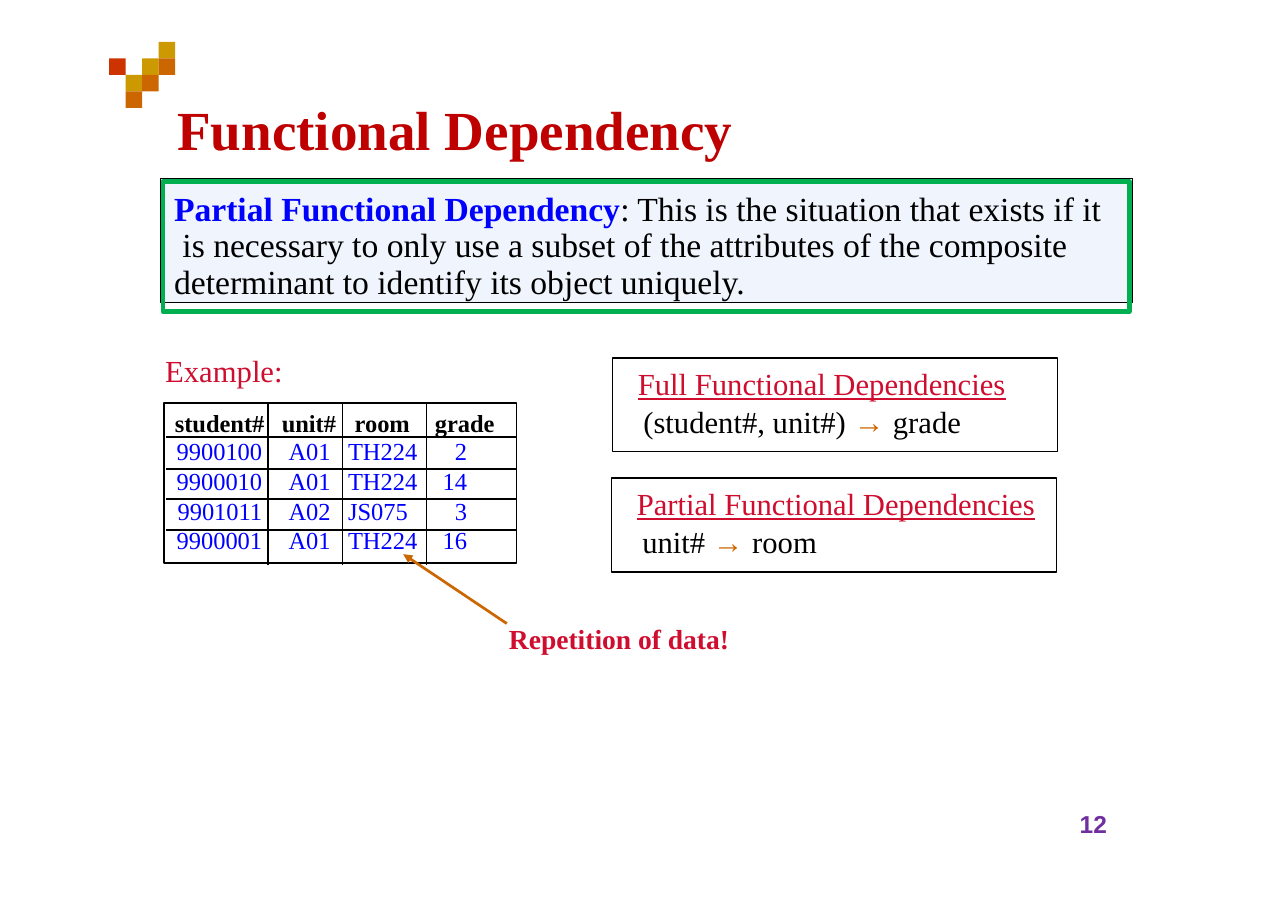
from lxml.etree import SubElement
from pptx import Presentation
from pptx.dml.color import RGBColor
from pptx.enum.shapes import MSO_CONNECTOR, MSO_SHAPE
from pptx.enum.text import MSO_ANCHOR, MSO_AUTO_SIZE, PP_ALIGN
from pptx.oxml.ns import qn
from pptx.util import Inches, Pt

SERIF = "Times New Roman"
BLACK, BLUE, CRIMSON = "000000", "0000FF", "CE0D2F"
DARK_RED, GREEN, PALE_BLUE, PURPLE = "BF0000", "00AF4F", "EFF4FD", "6F2F9F"
GOLD, ORANGE, RED = "CC9900", "CC6600", "CC3300"

TITLE = "Functional Dependency"
TERM = "Partial Functional Dependency"
MEANING = (": This is the situation that exists if it\v"
           " is necessary to only use a subset of the attributes of the composite\v"
           "determinant to identify its object uniquely.")

# Column, row and colour of each decorative square
SQUARES = [(0, 1, RED), (1, 2, GOLD), (1, 3, ORANGE), (2, 1, GOLD),
           (2, 2, ORANGE), (3, 0, GOLD), (3, 1, ORANGE)]
SQUARE = 0.15

ROWS = [
    ("student#", "unit#", "room", "grade"),
    ("9900100", "A01", "TH224", "2"),
    ("9900010", "A01", "TH224", "14"),
    ("9901011", "A02", "JS075", "3"),
    ("9900001", "A01", "TH224", "16"),
]
COLUMN_WIDTHS = [0.92, 0.68, 0.76, 0.82]
ROW_HEIGHTS = [0.31, 0.29, 0.27, 0.28, 0.32]
ROW_SPACING = [18.7, 18.7, 17.2, 17.4, 16.1]
COLUMN_RULES = [0, 1.5, 1, 1, 0]
ROW_RULES = [0, 1.5, 1.5, 1, 1.5, 0]
ALIGNMENTS = [PP_ALIGN.RIGHT, PP_ALIGN.CENTER, PP_ALIGN.LEFT, PP_ALIGN.RIGHT]
# Left and right cell margins for each column
HEADER_MARGINS = [(0, 0.03), (0.07, 0), (0.11, 0), (0, 0.2)]
BODY_MARGINS = [(0, 0.05), (0.08, 0), (0.05, 0), (0, 0.45)]

# Left, top, heading, determinant, dependent
DEPENDENCIES = [
    (5.56, 3.25, "Full Functional Dependencies", "(student#, unit#) ", "grade"),
    (5.55, 4.34, "Partial Functional Dependencies", "unit# ", "room"),
]


def rgb(value):
    return RGBColor.from_string(value)


def set_font(font, size, color, bold=False, name=SERIF):
    font.name, font.size, font.bold = name, Pt(size), bold
    font.color.rgb = rgb(color)


def set_frame(frame, left=0, top=0):
    """Fix the insets, wrapping and anchor of a text frame."""
    frame.word_wrap = True
    frame.auto_size = MSO_AUTO_SIZE.NONE
    frame.vertical_anchor = MSO_ANCHOR.TOP
    frame.margin_left, frame.margin_top = Inches(left), Inches(top)
    frame.margin_right = frame.margin_bottom = 0


def add_box(slide, left, top, width, height, fill=None, line=None, line_width=1):
    box = slide.shapes.add_shape(MSO_SHAPE.RECTANGLE, Inches(left), Inches(top),
                                 Inches(width), Inches(height))
    box.shadow.inherit = False
    if fill:
        box.fill.solid()
        box.fill.fore_color.rgb = rgb(fill)
    else:
        box.fill.background()
    if line:
        box.line.color.rgb = rgb(line)
        box.line.width = Pt(line_width)
    else:
        box.line.fill.background()
    return box


def add_label(slide, text, left, top, width, height, *font):
    label = slide.shapes.add_textbox(Inches(left), Inches(top),
                                     Inches(width), Inches(height))
    set_frame(label.text_frame)
    paragraph = label.text_frame.paragraphs[0]
    paragraph.text = text
    set_font(paragraph.font, *font)


def add_title(slide):
    title = slide.shapes.title
    title.left, title.top = Inches(1.6), Inches(0.85)
    title.width, title.height = Inches(6), Inches(0.63)
    set_frame(title.text_frame, 0.01, 0.02)
    paragraph = title.text_frame.paragraphs[0]
    paragraph.text = TITLE
    paragraph.alignment = PP_ALIGN.LEFT
    set_font(paragraph.font, 36, DARK_RED, True)


def add_definition(slide):
    box = add_box(slide, 1.46, 1.62, 8.82, 1.13, PALE_BLUE, BLACK, 0.75)
    add_box(slide, 1.48, 1.65, 8.77, 1.18, line=GREEN, line_width=3)
    set_frame(box.text_frame, 0.12, 0.12)
    paragraph = box.text_frame.paragraphs[0]
    paragraph.text = MEANING
    paragraph.alignment = PP_ALIGN.LEFT
    paragraph.line_spacing = Pt(23.8)
    set_font(paragraph.font, 22, BLACK)
    term = paragraph.add_run()
    term.text = TERM
    set_font(term.font, 22, BLUE, True)
    paragraph.runs[0]._r.addprevious(term._r)


def add_border(cell, side, width):
    line = SubElement(cell._tc.get_or_add_tcPr(), qn("a:" + side), w=str(Pt(width)))
    if width:
        color = SubElement(SubElement(line, qn("a:solidFill")), qn("a:srgbClr"))
        color.set("val", BLACK)
    else:
        SubElement(line, qn("a:noFill"))


def add_student_table(slide):
    add_box(slide, 1.49, 3.66, 3.2, 1.45, line=BLACK)
    table = slide.shapes.add_table(
        len(ROWS), len(COLUMN_WIDTHS), Inches(1.51), Inches(3.66),
        Inches(sum(COLUMN_WIDTHS)), Inches(sum(ROW_HEIGHTS))).table
    table.first_row = table.horz_banding = False
    for column, width in enumerate(COLUMN_WIDTHS):
        table.columns[column].width = Inches(width)
    for row, values in enumerate(ROWS):
        header = row == 0
        table.rows[row].height = Inches(ROW_HEIGHTS[row])
        margins = HEADER_MARGINS if header else BODY_MARGINS
        for column, value in enumerate(values):
            cell = table.cell(row, column)
            left, right = margins[column]
            cell.margin_left, cell.margin_right = Inches(left), Inches(right)
            cell.margin_top, cell.margin_bottom = Inches(0.05 if header else 0), 0
            for side, width in (("lnL", COLUMN_RULES[column]),
                                ("lnR", COLUMN_RULES[column + 1]),
                                ("lnT", ROW_RULES[row]),
                                ("lnB", ROW_RULES[row + 1])):
                add_border(cell, side, width)
            cell.fill.background()
            paragraph = cell.text_frame.paragraphs[0]
            paragraph.text = value
            paragraph.alignment = ALIGNMENTS[column]
            paragraph.line_spacing = Pt(ROW_SPACING[row])
            set_font(paragraph.font, 16, BLACK if header else BLUE, header)


def add_dependency(slide, left, top, heading, determinant, dependent):
    box = add_box(slide, left, top, 4.04, 0.85, line=BLACK)
    frame = box.text_frame
    set_frame(frame, 0.23, 0.05)
    first, second = frame.paragraphs[0], frame.add_paragraph()
    first.text = heading
    set_font(first.font, 20, CRIMSON)
    first.font.underline = True
    second._p.get_or_add_pPr().set("marL", str(Inches(0.05)))
    for text, color, name in ((determinant, BLACK, SERIF), ("→ ", ORANGE, "Arial"),
                              (dependent, BLACK, SERIF)):
        run = second.add_run()
        run.text = text
        set_font(run.font, 20, color, name=name)
    for paragraph in (first, second):
        paragraph.alignment = PP_ALIGN.LEFT
        paragraph.line_spacing = Pt(25)


def add_arrow(slide):
    arrow = slide.shapes.add_connector(MSO_CONNECTOR.STRAIGHT, Inches(4.6), Inches(5.66),
                                       Inches(3.66), Inches(5.03))
    arrow.line.color.rgb = rgb(ORANGE)
    arrow.line.width = Pt(1.75)
    SubElement(arrow.line._get_or_add_ln(), qn("a:tailEnd"), type="triangle")
    SubElement(arrow._element.spPr, qn("a:effectLst"))


def main():
    presentation = Presentation()
    presentation.slide_width, presentation.slide_height = Inches(11.69), Inches(8.26)
    slide = presentation.slides.add_slide(presentation.slide_layouts[5])
    for column, row, color in SQUARES:
        add_box(slide, 0.99 + column * SQUARE, 0.38 + row * SQUARE, SQUARE, SQUARE, color)
    add_title(slide)
    add_definition(slide)
    add_label(slide, "Example:", 1.5, 3.19, 1.5, 0.36, 20, CRIMSON)
    add_student_table(slide)
    for dependency in DEPENDENCIES:
        add_dependency(slide, *dependency)
    add_arrow(slide)
    add_label(slide, "Repetition of data!", 4.62, 5.65, 2.5, 0.3, 18, CRIMSON, True)
    add_label(slide, "12", 9.8, 7.34, 0.33, 0.28, 16, PURPLE, True, "Arial")
    presentation.save("out.pptx")


if __name__ == "__main__":
    main()
